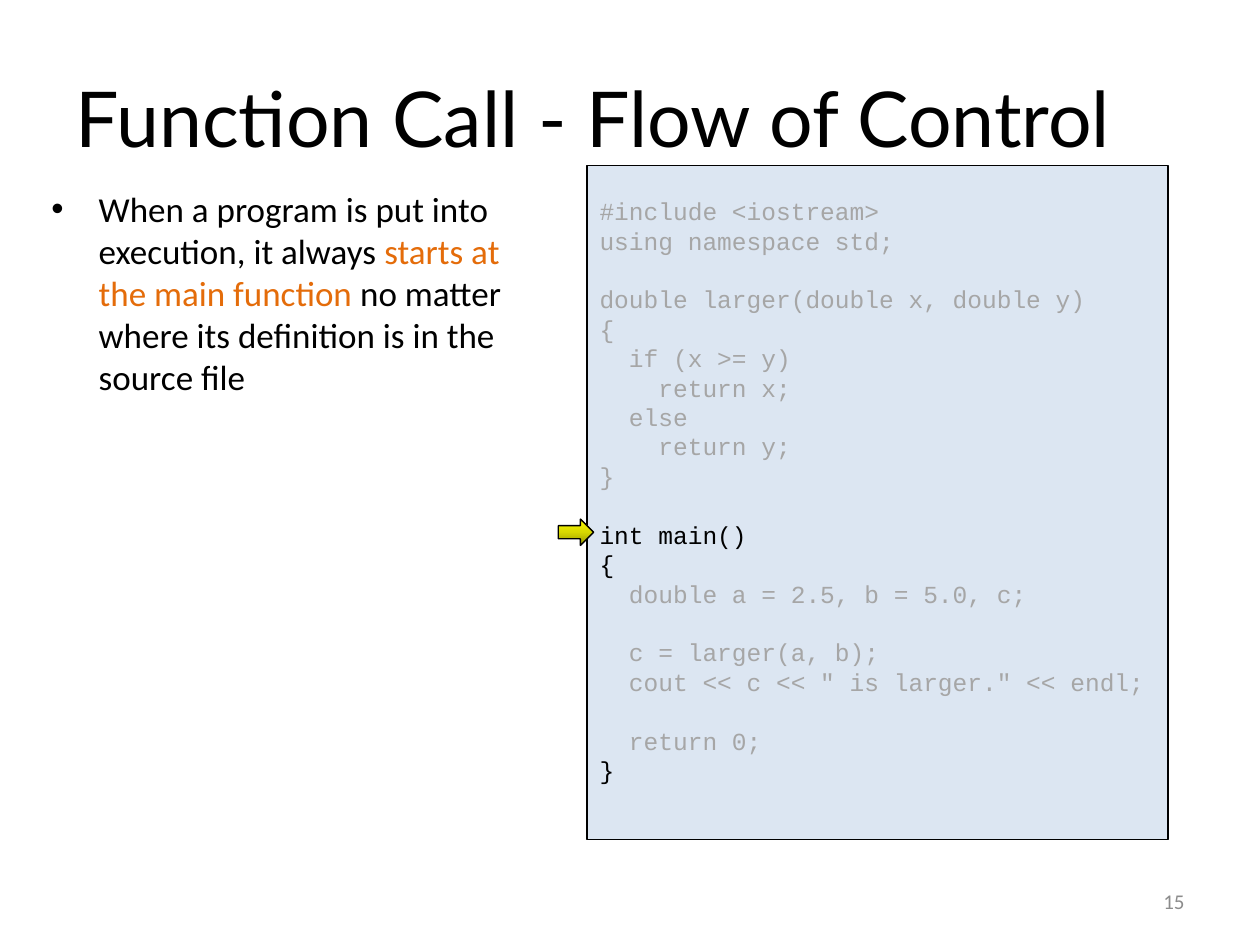
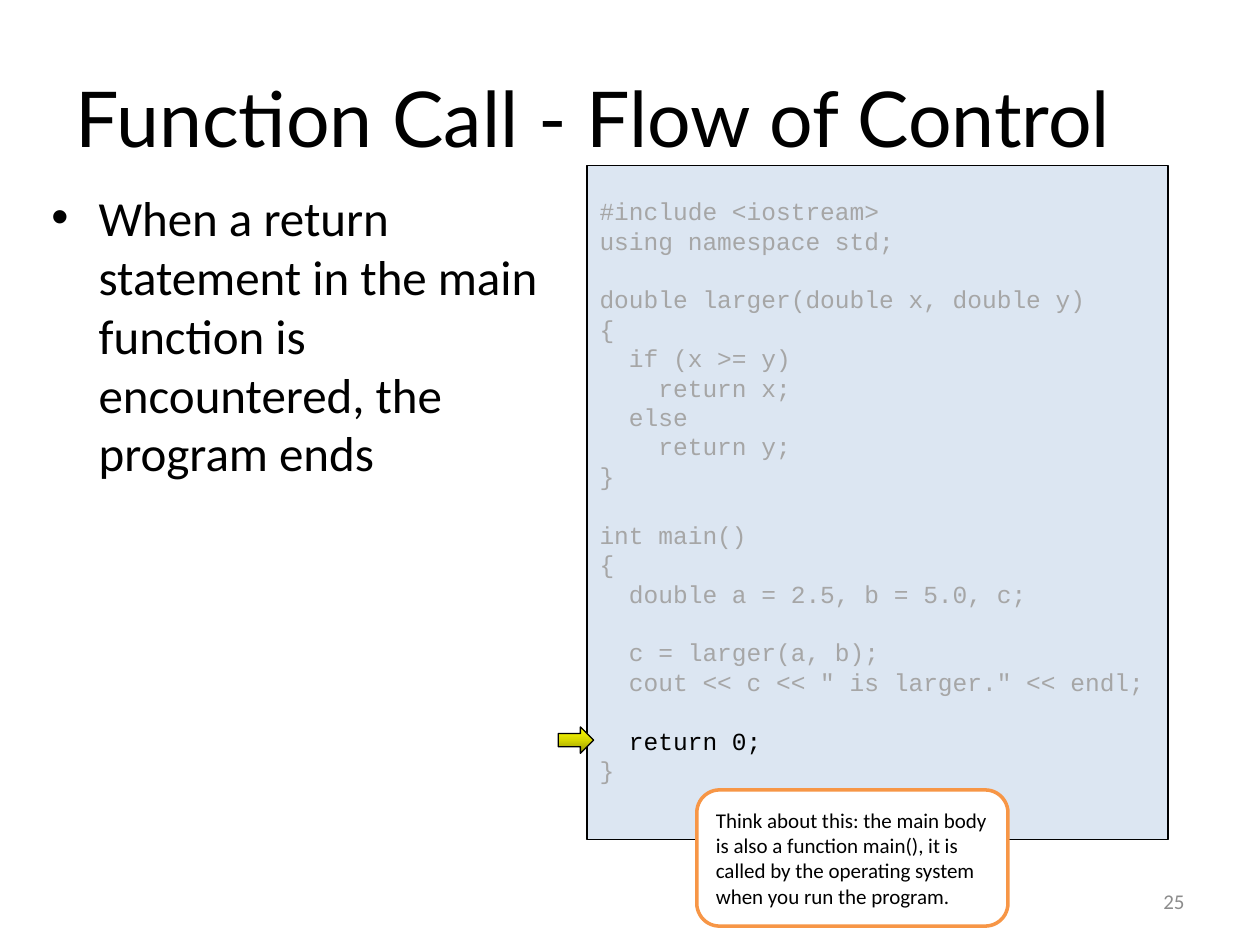
import copy

import pptx
import pptx.dml.color
import pptx.enum.shapes
import pptx.enum.text
import pptx.oxml
import pptx.oxml.ns
import pptx.util

Pt = pptx.util.Pt
SHAPES = pptx.enum.shapes.MSO_SHAPE
ALIGN = pptx.enum.text.PP_ALIGN
ANCHOR = pptx.enum.text.MSO_ANCHOR

# Shared look
BLACK, WHITE = "000000", "FFFFFF"
PANEL, DIMMED = "DCE6F2", "A6A6A6"
ACCENT, CALLOUT_LINE, FOOTER = "E46C0A", "F79646", "8C8C8C"
ARROW_STOPS = [(0, "979700"), (0.5, "D7D700"), (1, "FFFF00")]
TITLE_FONT, TEXT_FONT, CODE_FONT = "Lato", "Calibri", "Courier New"
TITLE = "Function Call - Flow of Control"
CODE_PITCH = 16.8

CODE = """#include <iostream>
using namespace std;

double larger(double x, double y)
{
  if (x >= y)
    return x;
  else
    return y;
}

int main()
{
  double a = 2.5, b = 5.0, c;

  c = larger(a, b);
  cout << c << " is larger." << endl;

  return 0;
}""".split("\n")


def rgb(value):
    return pptx.dml.color.RGBColor.from_string(value)


def set_font(font, name, size, color):
    font.name = name
    font.size = Pt(size)
    font.color.rgb = rgb(color)


def add_text_box(page, left, top, width, height, anchor=ANCHOR.TOP):
    box = page.shapes.add_textbox(Pt(left), Pt(top), Pt(width), Pt(height))
    box.text_frame.word_wrap = True
    box.text_frame.vertical_anchor = anchor
    return box.text_frame


def add_panel(page, kind, area, line, line_width=0.75, fill=None):
    shape = page.shapes.add_shape(kind, *[Pt(length) for length in area])
    shape.shadow.inherit = False
    shape.line.color.rgb = rgb(line)
    shape.line.width = Pt(line_width)
    if fill:
        shape.fill.solid()
        shape.fill.fore_color.rgb = rgb(fill)
    shape.text_frame.word_wrap = True
    return shape


def add_title(page):
    title = page.shapes.title
    title.left, title.top, title.width, title.height = Pt(36), Pt(21.6), Pt(648), Pt(90)
    title.text_frame.text = TITLE
    title.text_frame.vertical_anchor = ANCHOR.MIDDLE
    para = title.text_frame.paragraphs[0]
    para.alignment = ALIGN.LEFT
    set_font(para.font, TITLE_FONT, 44, BLACK)


def add_bullet(page, size, spans):
    """Write one bulleted statement from (text, color) spans."""
    frame = add_text_box(page, 22.3, 103.7, 292.3, 386.6)
    para = frame.paragraphs[0]
    properties = para._p.get_or_add_pPr()
    properties.set("marL", str(Pt(27)))
    properties.set("indent", str(-Pt(27)))
    for tag, name, value in (("a:buFont", "typeface", "Arial"), ("a:buChar", "char", "•")):
        mark = pptx.oxml.parse_xml(f'<{tag} {pptx.oxml.ns.nsdecls("a")}/>')
        mark.set(name, value)
        properties.append(mark)
    set_font(para.font, TEXT_FONT, size, BLACK)
    for text, color in spans:
        span = para.add_run()
        span.text = text
        if color != BLACK:
            span.font.color.rgb = rgb(color)


def add_code(page, lit_lines):
    """Show the program dimmed, with the given line numbers in black."""
    panel = add_panel(page, SHAPES.RECTANGLE, (335.5, 94.6, 331.9, 385.2), BLACK, fill=PANEL)
    frame = panel.text_frame
    frame.vertical_anchor = ANCHOR.TOP
    frame.margin_top = Pt(17.5)
    para = frame.paragraphs[0]
    gap = 0
    for number, line in enumerate(CODE):
        if not line:
            gap += CODE_PITCH
            continue
        if number:
            para = frame.add_paragraph()
        para.text = line
        para.alignment = ALIGN.LEFT
        para.line_spacing = Pt(CODE_PITCH)
        para.space_before = Pt(gap)
        set_font(para.font, CODE_FONT, 14, BLACK if number in lit_lines else DIMMED)
        gap = 0


def add_step_arrow(page, top):
    arrow = add_panel(page, SHAPES.RIGHT_ARROW, (319, top, 20.2, 15.1), BLACK)
    arrow.fill.gradient()
    arrow.fill.gradient_angle = 90
    stop_list = arrow._element.spPr.find(".//" + pptx.oxml.ns.qn("a:gsLst"))
    stop_list.append(copy.deepcopy(stop_list[-1]))
    for stop, (position, color) in zip(arrow.fill.gradient_stops, ARROW_STOPS):
        stop.position = position
        stop.color.rgb = rgb(color)


def add_page_number(page, number):
    frame = add_text_box(page, 516, 500.5, 168, 28.8, ANCHOR.MIDDLE)
    para = frame.paragraphs[0]
    para.text = str(number)
    para.alignment = ALIGN.RIGHT
    set_font(para.font, TEXT_FONT, 12, FOOTER)


def add_callout(page, text):
    callout = add_panel(page, SHAPES.ROUNDED_RECTANGLE, (398.2, 451.4, 177.8, 77.8),
                        CALLOUT_LINE, 2, WHITE)
    callout.text_frame.vertical_anchor = ANCHOR.MIDDLE
    para = callout.text_frame.paragraphs[0]
    para.text = text
    para.alignment = ALIGN.LEFT
    set_font(para.font, TEXT_FONT, 12, BLACK)


def add_step_page(deck, number, size, spans, lit_lines, arrow_top):
    page = deck.slides.add_slide(deck.slide_layouts[5])
    add_title(page)
    add_bullet(page, size, spans)
    add_code(page, lit_lines)
    add_step_arrow(page, arrow_top)
    add_page_number(page, number)
    return page


def main():
    deck = pptx.Presentation()
    deck.slide_width, deck.slide_height = Pt(720), Pt(540)

    # Execution starts at main
    start_spans = [
        ("When a program is put into execution, it always ", BLACK),
        ("starts at the main function ", ACCENT),
        ("no matter where its definition is in the source file", BLACK),
    ]
    main_line = CODE.index("int main()")
    last_line = len(CODE) - 1
    add_step_page(deck, 15, 20, start_spans, {main_line, main_line + 1, last_line}, 296.6)

    # The program ends at the return of main
    end_spans = [("When a return statement in the main function is encountered, "
                  "the program ends", BLACK)]
    page = add_step_page(deck, 25, 28, end_spans, {CODE.index("  return 0;")}, 415.4)
    add_callout(page, "Think about this: the main body is also a function main(), it is "
                      "called by the operating system when you run the program.")

    deck.save("out.pptx")


if __name__ == "__main__":
    main()
